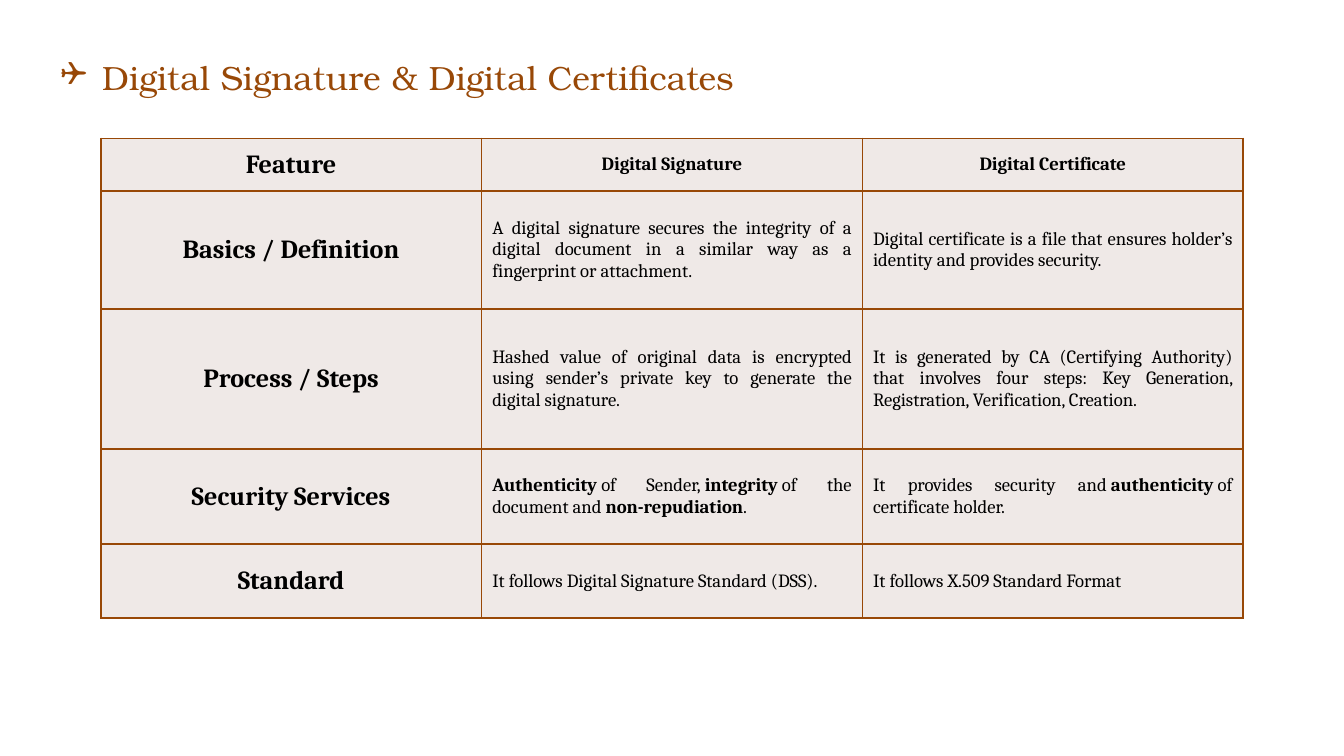
from lxml import etree
from pptx import Presentation
from pptx.dml.color import RGBColor
from pptx.enum.text import MSO_ANCHOR, PP_ALIGN
from pptx.oxml.ns import qn
from pptx.util import Inches, Pt

BROWN = RGBColor(0x98, 0x48, 0x07)
BLACK = RGBColor(0, 0, 0)
CELL_FILL = RGBColor(0xEF, 0xE9, 0xE7)
NO_BREAK_SPACE = chr(160)

TITLE = "Digital Signature & Digital Certificates"
# ** marks the start and end of bold words, ~ a no-break space
ROWS = [
    ("Feature", "**Digital Signature**", "**Digital Certificate**"),
    ("Basics / Definition",
     "A digital signature secures the integrity of a digital document in a "
     "similar way as a fingerprint or attachment.",
     "Digital certificate is a file that ensures holder’s identity and "
     "provides security."),
    ("Process / Steps",
     "Hashed value of original data is encrypted using sender’s private key "
     "to generate the digital signature.",
     "It is generated by CA (Certifying Authority) that involves four steps: "
     "Key Generation, Registration, Verification, Creation."),
    ("Security Services",
     "**Authenticity**~of Sender,~**integrity**~of the document and~"
     "**non-repudiation**.",
     "It provides security and~**authenticity**~of certificate holder."),
    ("Standard",
     "It follows Digital Signature Standard (DSS).",
     "It follows X.509 Standard Format"),
]
ROW_HEIGHTS = [0.39, 0.88, 1.04, 0.71, 0.55]
TABLE_LEFT, TABLE_TOP, TABLE_WIDTH = 0.75, 1.03, 8.5


def add_borders(cell):
    tc_pr = cell._tc.get_or_add_tcPr()
    for i, side in enumerate(("a:lnL", "a:lnR", "a:lnT", "a:lnB")):
        ln = etree.Element(qn(side), w=str(Pt(1)))
        fill = etree.SubElement(ln, qn("a:solidFill"))
        etree.SubElement(fill, qn("a:srgbClr"), val=str(BROWN))
        tc_pr.insert(i, ln)


def fill_cell(cell, text, is_label, align):
    cell.fill.solid()
    cell.fill.fore_color.rgb = CELL_FILL
    add_borders(cell)
    cell.vertical_anchor = MSO_ANCHOR.MIDDLE
    cell.margin_left = cell.margin_right = Inches(0.03 if is_label else 0.08)
    cell.margin_top = cell.margin_bottom = Inches(0.06 if is_label else 0.11)
    p = cell.text_frame.paragraphs[0]
    p.alignment = align
    p.font.name = "Cambria"
    p.font.size = Pt(14 if is_label else 10)
    p.font.color.rgb = BLACK
    for i, part in enumerate(text.replace("~", NO_BREAK_SPACE).split("**")):
        if part:
            r = p.add_run()
            r.text = part
            r.font.bold = is_label or i % 2 == 1


def add_title(s):
    title = s.shapes.title
    title.left, title.top = Inches(0.35), Inches(0.37)
    title.width, title.height = Inches(6.14), Inches(0.4)
    tf = title.text_frame
    tf.word_wrap = True
    tf.vertical_anchor = MSO_ANCHOR.TOP
    tf.text = TITLE
    p = tf.paragraphs[0]
    p.alignment = PP_ALIGN.LEFT
    p.font.name = "TeX Gyre Bonum"
    p.font.size = Pt(18)
    p.font.color.rgb = BROWN
    p_pr = p._p.get_or_add_pPr()
    p_pr.set("marL", str(Inches(0.31)))
    p_pr.set("indent", str(-Inches(0.31)))
    p_pr.insert(0, etree.Element(qn("a:buFont"), typeface="Wingdings"))
    p_pr.insert(1, etree.Element(qn("a:buChar"), char="❑"))


def add_comparison(s):
    n_cols = len(ROWS[0])
    table = s.shapes.add_table(
        len(ROWS), n_cols, Inches(TABLE_LEFT), Inches(TABLE_TOP),
        Inches(TABLE_WIDTH), Inches(sum(ROW_HEIGHTS))).table
    table.first_row = table.horz_banding = False
    for col in table.columns:
        col.width = Inches(TABLE_WIDTH / n_cols)
    for i, (height, texts) in enumerate(zip(ROW_HEIGHTS, ROWS)):
        table.rows[i].height = Inches(height)
        for j, text in enumerate(texts):
            centred = i == 0 or j == 0
            align = PP_ALIGN.CENTER if centred else PP_ALIGN.JUSTIFY
            fill_cell(table.cell(i, j), text, j == 0, align)


def main():
    prs = Presentation()
    prs.slide_width = Inches(10)
    prs.slide_height = prs.slide_width * 9 // 16
    s = prs.slides.add_slide(prs.slide_layouts[5])
    add_title(s)
    add_comparison(s)
    prs.save("out.pptx")


if __name__ == "__main__":
    main()
